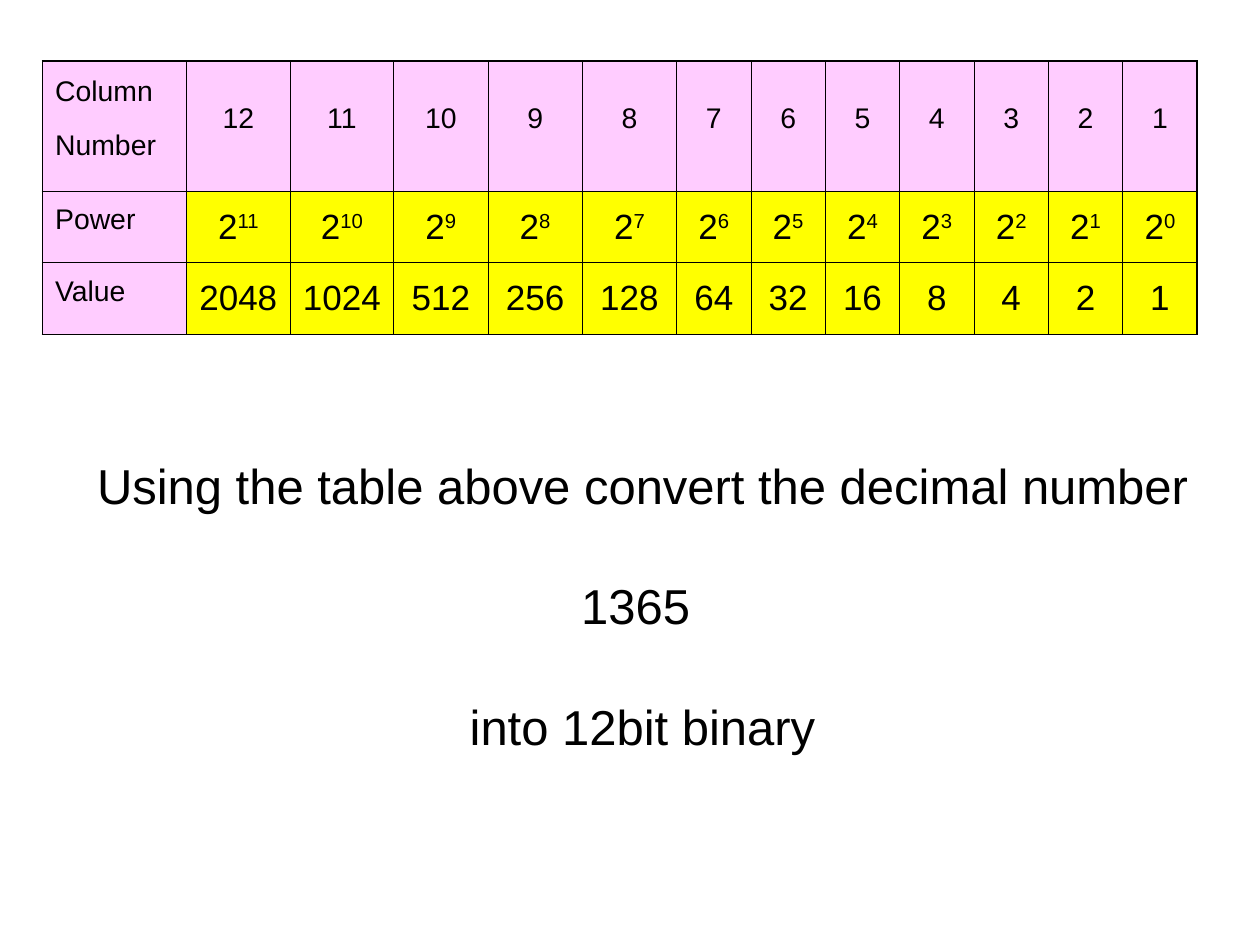
from dataclasses import dataclass

from lxml.etree import SubElement
from pptx import Presentation
from pptx.dml.color import RGBColor
from pptx.enum.text import MSO_ANCHOR, PP_ALIGN
from pptx.oxml.ns import qn
from pptx.util import Pt

BITS = 12
PINK, YELLOW, BLACK = "FFCCFF", "FFFF00", "000000"
THIN, THICK = 0.45, 1.08
COL_WIDTHS = [82.3] + [59.2] * 2 + [53.9] * 3 + [42.5] * 7
ROW_HEIGHTS = [74.2, 41, 41]


@dataclass
class Run:
    text: str
    size: float
    raised: bool = False


@dataclass
class CellSpec:
    runs: list[Run]
    fill: str
    align: PP_ALIGN = PP_ALIGN.CENTER


def rgb(value: str) -> RGBColor:
    return RGBColor.from_string(value)


def add_run(p, run: Run) -> None:
    r = p.add_run()
    r.text = run.text
    for name, value in {"name": "Arial", "size": Pt(run.size)}.items():
        setattr(r.font, name, value)
    r.font.color.rgb = rgb(BLACK)
    if run.raised:
        r.font._element.set("baseline", "30000")


def set_borders(cell, widths: dict[str, float]) -> None:
    tcPr = cell._tc.get_or_add_tcPr()
    for i, (side, width) in enumerate(widths.items()):
        ln = tcPr.makeelement(qn(f"a:ln{side}"), {"w": str(Pt(width))})
        fill = SubElement(ln, qn("a:solidFill"))
        SubElement(fill, qn("a:srgbClr"), val=BLACK)
        tcPr.insert(i, ln)


def draw_cell(cell, spec: CellSpec, borders: dict[str, float]) -> None:
    cell.fill.solid()
    cell.fill.fore_color.rgb = rgb(spec.fill)
    cell.vertical_anchor = MSO_ANCHOR.MIDDLE
    p = cell.text_frame.paragraphs[0]
    p.alignment = spec.align
    for run in spec.runs:
        add_run(p, run)
    set_borders(cell, borders)


def label(text: str) -> CellSpec:
    return CellSpec([Run(text, 28, True)], PINK, PP_ALIGN.LEFT)


def table_rows() -> list[list[CellSpec]]:
    powers = range(BITS - 1, -1, -1)
    return [
        [label("Column Number")]
        + [CellSpec([Run(str(n + 1), 28, True)], PINK) for n in powers],
        [label("Power")]
        + [CellSpec([Run("2", 20), Run(str(n), 20, True)], YELLOW) for n in powers],
        [label("Value")]
        + [CellSpec([Run(str(2 ** n), 20)], YELLOW) for n in powers],
    ]


def draw_table(s) -> None:
    rows = table_rows()
    table = s.shapes.add_table(
        len(rows), BITS + 1, Pt(24.3), Pt(35),
        Pt(sum(COL_WIDTHS)), Pt(sum(ROW_HEIGHTS))).table
    for name in ("first_row", "horz_banding"):
        setattr(table, name, False)
    for col, width in zip(table.columns, COL_WIDTHS):
        col.width = Pt(width)
    for row, height in zip(table.rows, ROW_HEIGHTS):
        row.height = Pt(height)
    for i, row in enumerate(rows):
        for j, spec in enumerate(row):
            borders = {
                "L": THICK if j == 0 else THIN,
                "R": THICK if j == BITS else THIN,
                "T": THICK if i == 0 else THIN,
                "B": THIN,
            }
            draw_cell(table.cell(i, j), spec, borders)


def draw_question(s, lines: list[str]) -> None:
    tf = s.shapes.add_textbox(Pt(44.6), Pt(257), Pt(645), Pt(174)).text_frame
    tf.word_wrap = False
    for i, line in enumerate(lines):
        p = tf.add_paragraph() if i else tf.paragraphs[0]
        p.alignment = PP_ALIGN.CENTER
        if i:
            p.space_before = Pt(35)
        add_run(p, Run(line, 28))


def main() -> None:
    prs = Presentation()
    prs.slide_width, prs.slide_height = Pt(720), Pt(540)
    s = prs.slides.add_slide(prs.slide_layouts[6])

    # Place values of a 12-bit number
    draw_table(s)

    # Exercise
    draw_question(s, ["Using the table above convert the decimal number ",
                      "1365 ", "into 12bit binary"])
    prs.save("out.pptx")


if __name__ == "__main__":
    main()
